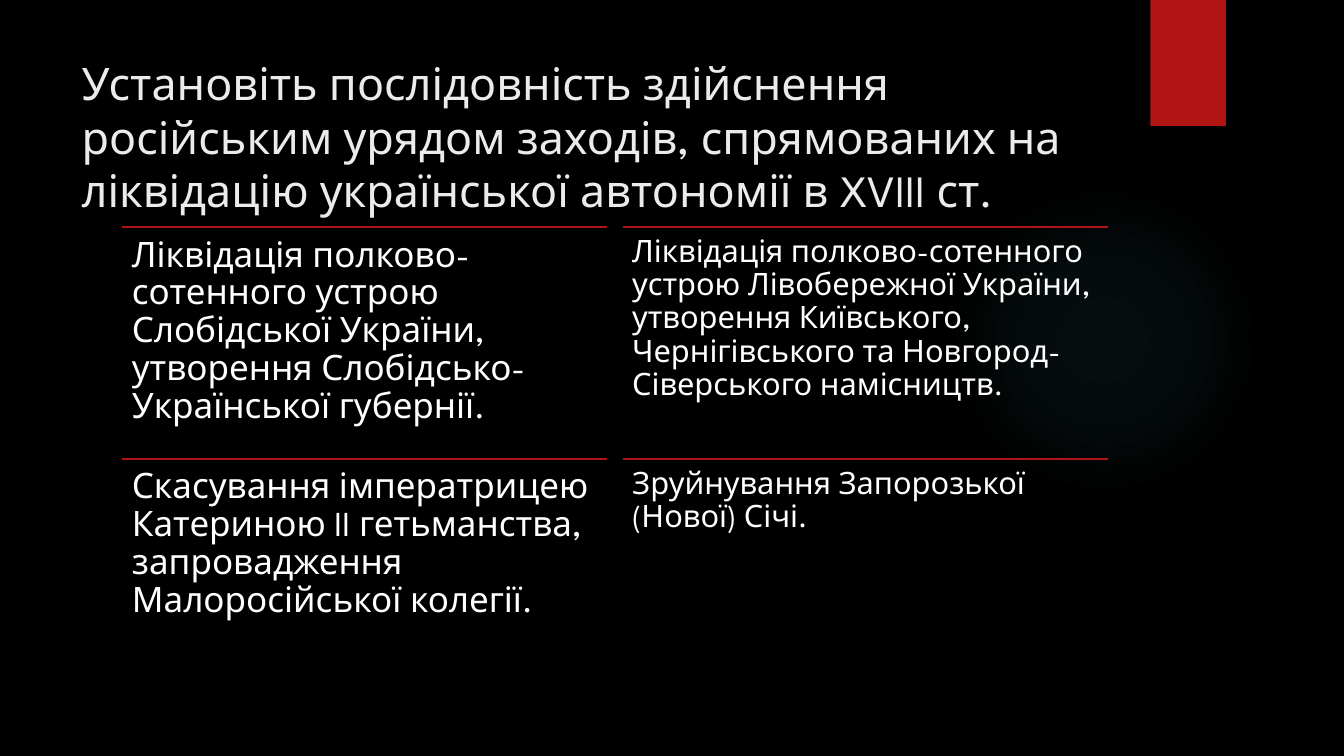
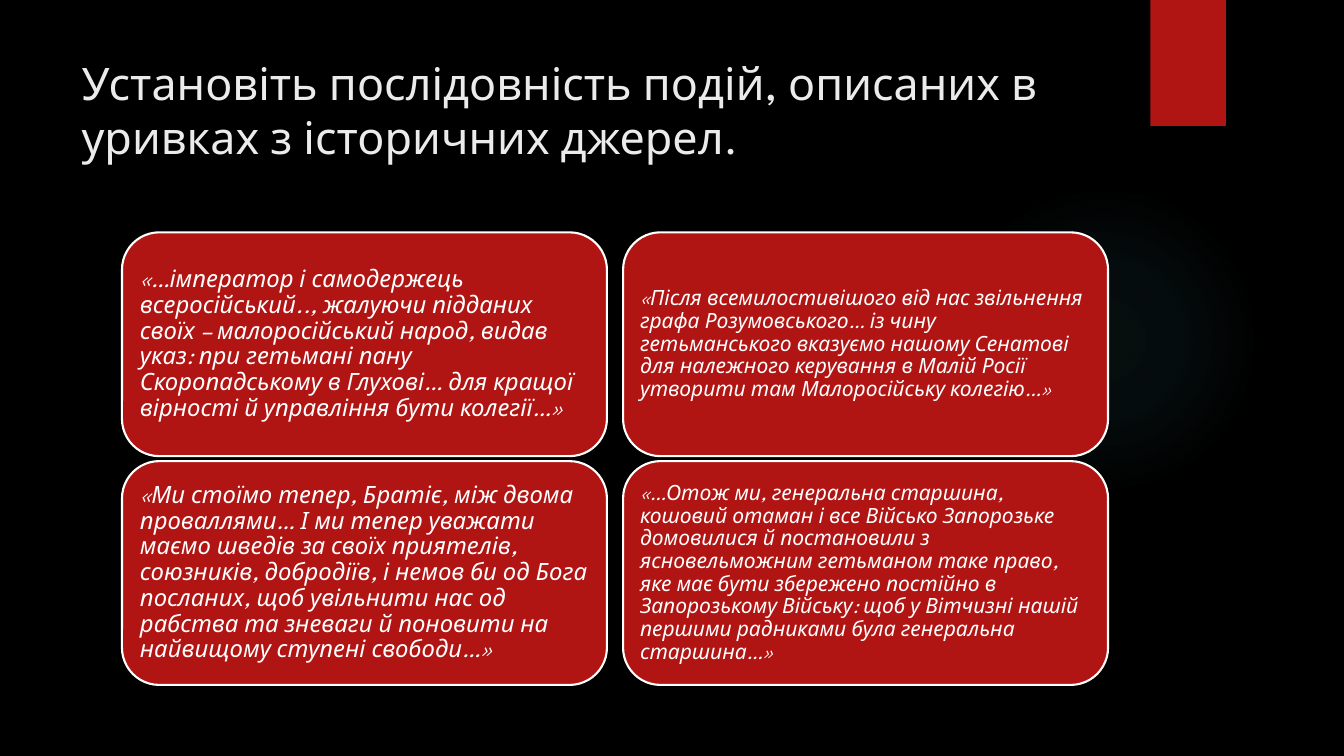
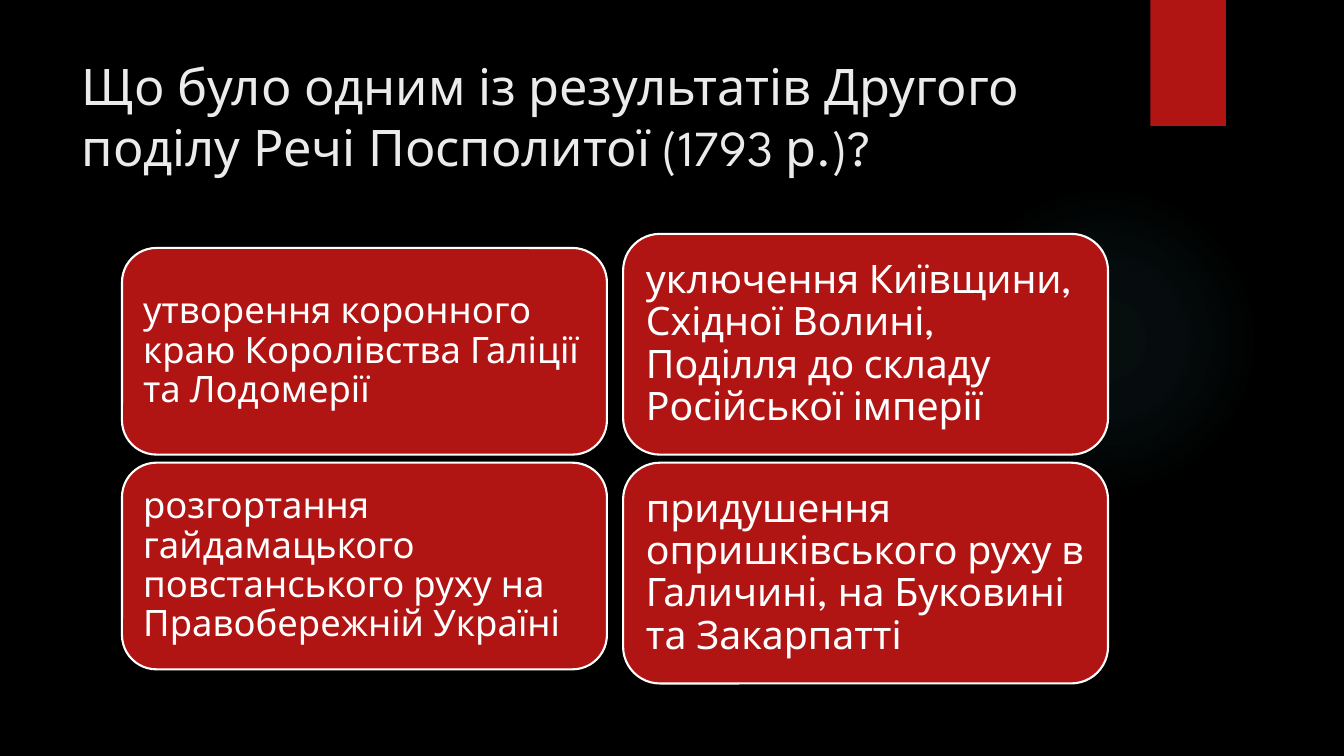
import pptx
import pptx.util
import pptx.oxml
import pptx.oxml.ns
import pptx.dml.color
import pptx.enum.shapes
import pptx.enum.text

Inches, Pt = pptx.util.Inches, pptx.util.Pt
SHAPE = pptx.enum.shapes.MSO_SHAPE
ANCHOR = pptx.enum.text.MSO_ANCHOR
LEFT = pptx.enum.text.PP_ALIGN.LEFT

FONT = "League Spartan"
COLORS = {"back": "000000", "accent": "B01513", "title": "EBEBEB",
          "text": "FFFFFF", "glow": "50B9C1"}
GLOW = [(0, 7), (36, 6), (69, 0)]  # position and opacity, per cent

# Each column holds two items; lengths are in inches, sizes in points.
SLIDES = [
    {"title": "Установіть послідовність здійснення російським урядом заходів, "
              "спрямованих на ліквідацію української автономії в XVIII ст.",
     "size": 32, "style": "ruled", "gap": 0, "italic": False,
     "cols": [
         {"size": 25, "inset": 0.1, "high": 2.3, "items": [
             "Ліквідація полково-сотенного устрою Слобідської України, "
             "утворення Слобідсько-Української губернії.",
             "Скасування імператрицею Катериною II гетьманства, "
             "запровадження Малоросійської колегії."]},
         {"size": 22, "inset": 0.09, "high": 2.3, "items": [
             "Ліквідація полково-сотенного устрою Лівобережної України, "
             "утворення Київського, Чернігівського та "
             "Новгород-Сіверського намісництв.",
             "Зруйнування Запорозької (Нової) Січі."]}]},
    {"title": "Установіть послідовність подій, описаних в уривках "
              "з історичних джерел.",
     "size": 32, "style": "card", "gap": 0.05, "italic": True,
     "cols": [
         {"size": 17, "inset": 0.07, "high": 2.22, "items": [
             "«…імператор і самодержець всеросійський.., жалуючи підданих "
             "своїх – малоросійський народ, видав указ: при гетьмані пану "
             "Скоропадському в Глухові… для кращої вірності й управління "
             "бути колегії…»",
             "«Ми стоїмо тепер, Братіє, між двома проваллями… І ми тепер "
             "уважати маємо шведів за своїх приятелів, союзників, "
             "добродіїв, і немов би од Бога посланих, щоб увільнити нас од "
             "рабства та зневаги й поновити на найвищому ступені свободи…»"]},
         {"size": 15, "inset": 0.06, "high": 2.22, "items": [
             "«Після всемилостивішого від нас звільнення графа "
             "Розумовського… із чину гетьманського вказуємо нашому Сенатові "
             "для належного керування в Малій Росії утворити там "
             "Малоросійську колегію…»",
             "«…Отож ми, генеральна старшина, кошовий отаман і все Військо "
             "Запорозьке домовилися й постановили з ясновельможним гетьманом "
             "таке право, яке має бути збережено постійно в Запорозькому "
             "Війську: щоб у Вітчизні нашій першими радниками була "
             "генеральна старшина…»"]}]},
    {"title": "Що було одним із результатів Другого поділу "
              "Речі Посполитої (1793 р.)?",
     "size": 36, "style": "card", "gap": 0.08, "italic": False,
     "cols": [
         {"size": 26, "inset": 0.11, "high": 2.05, "items": [
             "утворення коронного краю Королівства Галіції та Лодомерії",
             "розгортання гайдамацького повстанського руху "
             "на Правобережній Україні"]},
         {"size": 28, "inset": 0.12, "high": 2.19, "items": [
             "уключення Київщини, Східної Волині, Поділля до складу "
             "Російської імперії",
             "придушення опришківського руху в Галичині, на Буковині "
             "та Закарпатті"]}]},
]

COL_X, COL_W, MID_Y = (1.21, 6.18), 4.81, 4.55


def rgb(name):
    return pptx.dml.color.RGBColor.from_string(COLORS[name])


def box(*sides):
    return [Inches(side) for side in sides]


def write(frame, text, size, color, italic=False):
    frame.word_wrap = True
    frame.auto_size = pptx.enum.text.MSO_AUTO_SIZE.NONE
    para = frame.paragraphs[0]
    para.alignment = LEFT
    run = para.add_run()
    run.text = text
    font = run.font
    font.name, font.size, font.italic = FONT, Pt(size), italic
    font.color.rgb = rgb(color)
    return para


def set_glow(shape):
    """Fill the shape with a radial gradient that fades out."""
    stops = "".join(
        f'<a:gs pos="{pos * 1000}"><a:srgbClr val="{COLORS["glow"]}">'
        f'<a:alpha val="{alpha * 1000}"/></a:srgbClr></a:gs>'
        for pos, alpha in GLOW)
    grad = pptx.oxml.parse_xml(
        f'<a:gradFill {pptx.oxml.ns.nsdecls("a")}><a:gsLst>{stops}</a:gsLst>'
        '<a:path path="circle"><a:fillToRect l="50000" t="50000" r="50000" '
        'b="50000"/></a:path></a:gradFill>')
    shape.fill.background()
    props = shape.element.spPr
    props.replace(props.find(pptx.oxml.ns.qn("a:noFill")), grad)


def set_master(deck, layout, slide):
    """Draw the shared parts on the slide, then move them to the master."""
    master = deck.slide_master
    master.background.fill.solid()
    master.background.fill.fore_color.rgb = rgb("back")
    glow = slide.shapes.add_shape(SHAPE.OVAL, *box(9.41, 1.83, 3.08, 3.08))
    set_glow(glow)
    band = slide.shapes.add_shape(SHAPE.RECTANGLE, *box(11.41, 0, 0.75, 1.25))
    band.fill.solid()
    band.fill.fore_color.rgb = rgb("accent")
    for num, part in enumerate((glow, band)):
        part.line.fill.background()
        part.shadow.inherit = False
        part.element.nvSpPr.cNvPr.set("id", str(20 + num))
        master.shapes.element.insert(2 + num, part.element)
    title = layout.placeholders[0]
    title.left, title.top, title.width, title.height = box(0.71, 0.5, 10.29, 1.53)
    title.text_frame.vertical_anchor = ANCHOR.TOP


def add_ruled(slide, x, y, high):
    left, top, width, height = box(x, y, COL_W, high)
    rule = slide.shapes.add_connector(
        pptx.enum.shapes.MSO_CONNECTOR.STRAIGHT, left, top, left + width, top)
    rule.line.color.rgb = rgb("accent")
    rule.line.width = Pt(1.5)
    rule.element.spPr.append(pptx.oxml.parse_xml(
        f'<a:effectLst {pptx.oxml.ns.nsdecls("a")}/>'))
    frame = slide.shapes.add_textbox(left, top, width, height).text_frame
    frame.vertical_anchor = ANCHOR.TOP
    return frame


def add_card(slide, x, y, high):
    card = slide.shapes.add_shape(SHAPE.ROUNDED_RECTANGLE, *box(x, y, COL_W, high))
    card.shadow.inherit = False
    card.fill.solid()
    card.fill.fore_color.rgb = rgb("accent")
    card.line.color.rgb = rgb("text")
    card.line.width = Pt(1.5)
    card.text_frame.vertical_anchor = ANCHOR.MIDDLE
    return card.text_frame


STYLES = {"ruled": add_ruled, "card": add_card}


def fill_slide(slide, data):
    write(slide.shapes.title.text_frame, data["title"], data["size"], "title")
    for x, col in zip(COL_X, data["cols"]):
        step = col["high"] + data["gap"]
        top = MID_Y - col["high"] - data["gap"] / 2
        for row, text in enumerate(col["items"]):
            frame = STYLES[data["style"]](slide, x, top + row * step, col["high"])
            frame.margin_left = frame.margin_right = Inches(col["inset"])
            frame.margin_top = frame.margin_bottom = Inches(col["inset"])
            para = write(frame, text, col["size"], "text", data["italic"])
            para.line_spacing = 0.9


def main():
    deck = pptx.Presentation()
    deck.slide_width, deck.slide_height = box(13.33, 7.5)
    layout = deck.slide_layouts.get_by_name("Title Only")
    slides = [deck.slides.add_slide(layout) for _ in SLIDES]
    set_master(deck, layout, slides[0])
    for slide, data in zip(slides, SLIDES):
        fill_slide(slide, data)
    deck.save("out.pptx")


if __name__ == "__main__":
    main()
